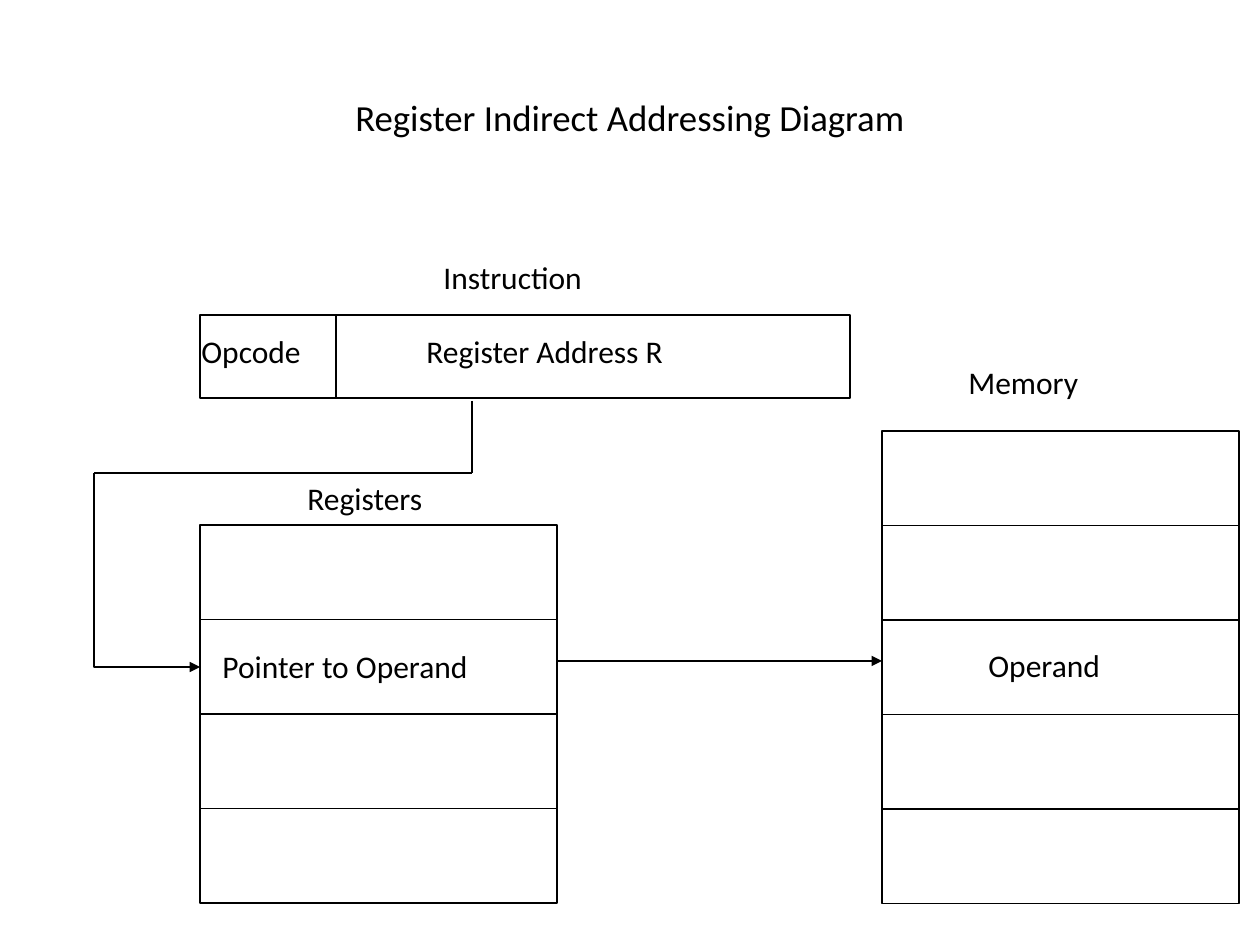
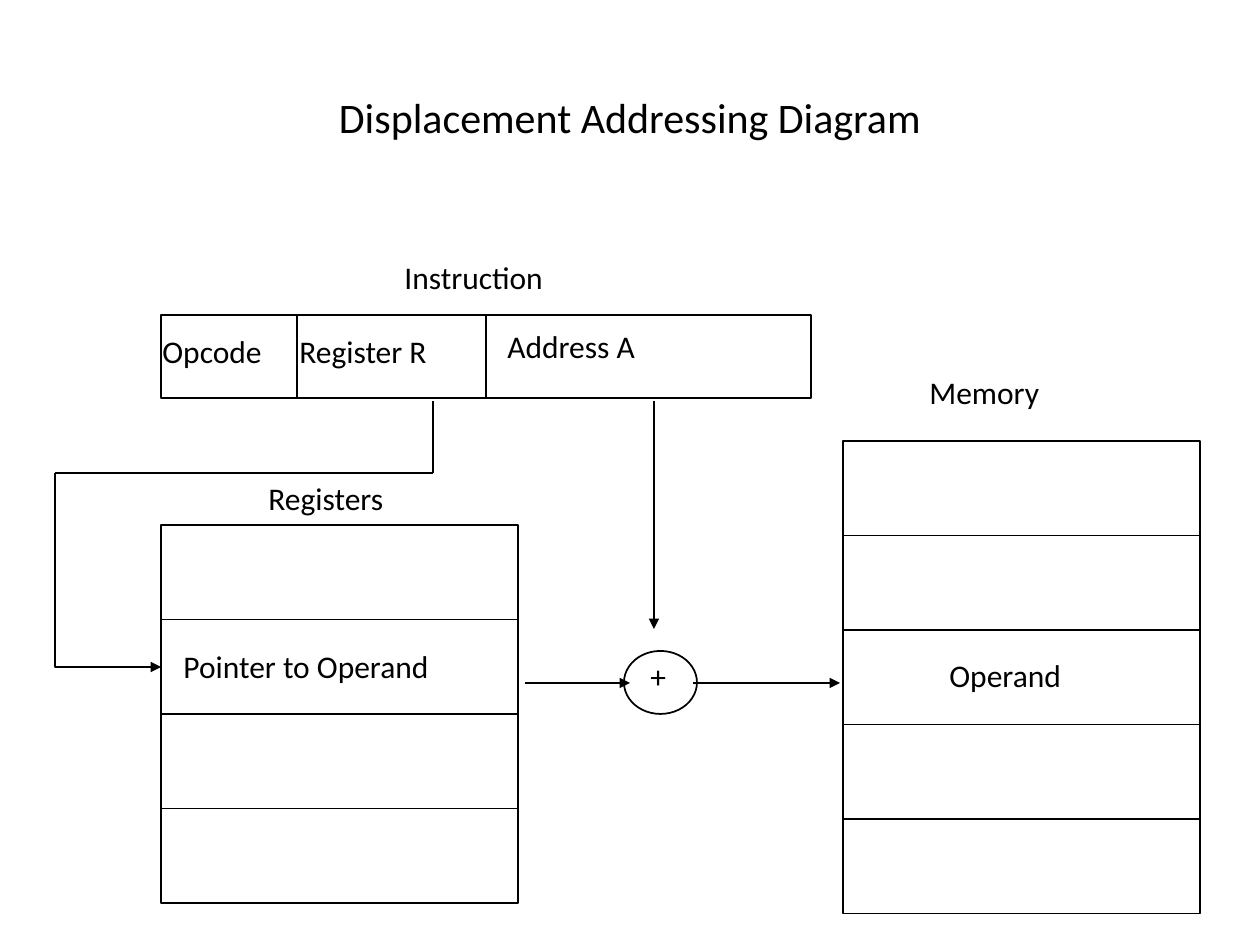
from dataclasses import dataclass
from itertools import pairwise

from lxml.etree import SubElement
from pptx import Presentation
from pptx.dml.color import RGBColor
from pptx.enum.shapes import MSO_CONNECTOR as CONNECTOR, MSO_SHAPE as SHAPE
from pptx.enum.text import MSO_ANCHOR as ANCHOR, MSO_AUTO_SIZE as AUTO_SIZE, PP_ALIGN as ALIGN
from pptx.oxml.ns import qn
from pptx.util import Inches, Pt

PIXELS_PER_INCH = 126


@dataclass(frozen=True)
class Theme:
    """Colours, type and line weights that the slides share."""
    ink: RGBColor = RGBColor(0, 0, 0)
    paper: RGBColor = RGBColor(255, 255, 255)
    font: str = "Calibri"
    label_size: int = 18
    line: float = 1
    thin_line: float = 0.75
    label_height: int = 63


THEME = Theme()


def px(length):
    """Turn pixels into EMU."""
    return Inches(length / PIXELS_PER_INCH)


def style_line(shape, weight=THEME.line, arrow=False):
    """Give an outline its ink and weight, with an arrowhead at its end if asked."""
    shape.line.color.rgb = THEME.ink
    shape.line.width = Pt(weight)
    if arrow:
        line = shape.line._get_or_add_ln()
        SubElement(line, qn("a:tailEnd"), type="triangle")


def add_line(slide, start, end, weight=THEME.line, arrow=False):
    """Draw a straight line between two points."""
    line = slide.shapes.add_connector(
        CONNECTOR.STRAIGHT, *map(px, start), *map(px, end))
    style_line(line, weight, arrow)
    SubElement(line._element.spPr, qn("a:effectLst"))


def add_outline(slide, kind, left, top, width, height):
    """Draw an unfilled preset shape."""
    outline = slide.shapes.add_shape(kind, px(left), px(top), px(width), px(height))
    outline.fill.background()
    outline.shadow.inherit = False
    style_line(outline)


def add_run(frame, text, size):
    """Add one run in the shared font to the first paragraph."""
    run = frame.paragraphs[0].add_run()
    run.text = text
    run.font.name = THEME.font
    run.font.size = Pt(size)
    run.font.color.rgb = THEME.ink


def add_label(slide, text, left, top, width):
    """Place a one-line label."""
    frame = slide.shapes.add_textbox(
        px(left), px(top), px(width), px(THEME.label_height)).text_frame
    frame.word_wrap = False
    frame.auto_size = AUTO_SIZE.SHAPE_TO_FIT_TEXT
    add_run(frame, text, THEME.label_size)


def add_title(slide, text, size):
    """Place the centred slide title."""
    frame = slide.shapes.add_textbox(px(63), px(38), px(1134), px(157)).text_frame
    frame.word_wrap = True
    frame.vertical_anchor = ANCHOR.MIDDLE
    frame.paragraphs[0].alignment = ALIGN.CENTER
    add_run(frame, text, size)


def add_instruction(slide, left, top, fields):
    """Draw the instruction word; a field is (start, text, dx, dy, label width)."""
    width, height = 650, 83
    add_outline(slide, SHAPE.RECTANGLE, left, top, width, height)
    add_label(slide, "Instruction", left + 231, top - 63, 207)
    for start, text, dx, dy, label_width in fields:
        if start:
            add_line(slide, (left + start, top + 1), (left + start, top + height))
        add_label(slide, text, left + start + dx, top + dy, label_width)


def add_cells(slide, left, top, count):
    """Stack equal storage cells and return their tops."""
    width, height = 357, 94.5
    tops = [top + row * height for row in range(count)]
    for cell_top in tops:
        add_outline(slide, SHAPE.RECTANGLE, left, cell_top, width, height)
    return tops


def add_memory(slide, left, top):
    """Draw the memory column with the operand in its third cell."""
    tops = add_cells(slide, left, top, 5)
    add_label(slide, "Memory", left + 74, top - 74, 170)
    add_label(slide, "Operand", left + 94, tops[2] + 20, 170)


def add_registers(slide, left, top):
    """Draw the register column with the pointer in its second cell."""
    tops = add_cells(slide, left, top, 4)
    add_label(slide, "Registers", left + 95, top - 52, 181)
    add_label(slide, "Pointer to Operand", left + 10, tops[1] + 21, 344)


def add_register_route(slide, left, top):
    """Lead from the instruction, around the left, to the pointer register."""
    exit_x, turn_x = left + 272, left - 106
    turn_y, entry_y = top + 72, top + 266
    corners = [(exit_x, top), (exit_x, turn_y), (turn_x, turn_y)]
    for start, end in pairwise(corners):
        add_line(slide, start, end)
    builder = slide.shapes.build_freeform(px(turn_x), px(turn_y))
    builder.add_line_segments(
        [(px(turn_x), px(entry_y)), (px(left), px(entry_y))], close=False)
    elbow = builder.convert_to_shape()
    elbow.fill.background()
    elbow.shadow.inherit = False
    style_line(elbow, arrow=True)


def add_adder(slide, left, top):
    """Draw the adder with its two inputs and its output."""
    width, height = 73, 63
    middle = top + 32
    add_outline(slide, SHAPE.OVAL, left, top, width, height)
    add_label(slide, "+", left + 14, top, 49)
    add_line(slide, (left + 30, 401), (left + 30, top - 22), arrow=True)
    for start, end in ((69, 216), (-99, 6)):
        add_line(slide, (left + start, middle), (left + end, middle),
                 THEME.thin_line, arrow=True)


def add_diagram(deck, title, title_size, left, memory_top, fields):
    """Build a slide with the parts common to both addressing modes."""
    slide = deck.slides.add_slide(deck.slide_layouts[6])
    slide.background.fill.solid()
    slide.background.fill.fore_color.rgb = THEME.paper
    add_title(slide, title, title_size)
    add_instruction(slide, left, 315, fields)
    add_memory(slide, left + 682, memory_top)
    add_registers(slide, left, 525)
    add_register_route(slide, left, 401)
    return slide


deck = Presentation()
deck.slide_width, deck.slide_height = px(1260), px(945)

opcode = (0, "Opcode", -11, 11, 155)

indirect = add_diagram(
    deck, "Register Indirect Addressing Diagram", 21, 200, 431,
    [opcode, (136, "Register Address R", 78, 11, 352)])
add_line(indirect, (557, 661), (882, 661), THEME.thin_line, arrow=True)

displacement = add_diagram(
    deck, "Displacement Addressing Diagram", 24, 161, 441,
    [opcode, (136, "Register R", -10, 11, 203), (325, "Address A", 9, 6, 204)])
add_adder(displacement, 624, 651)

deck.save("out.pptx")
